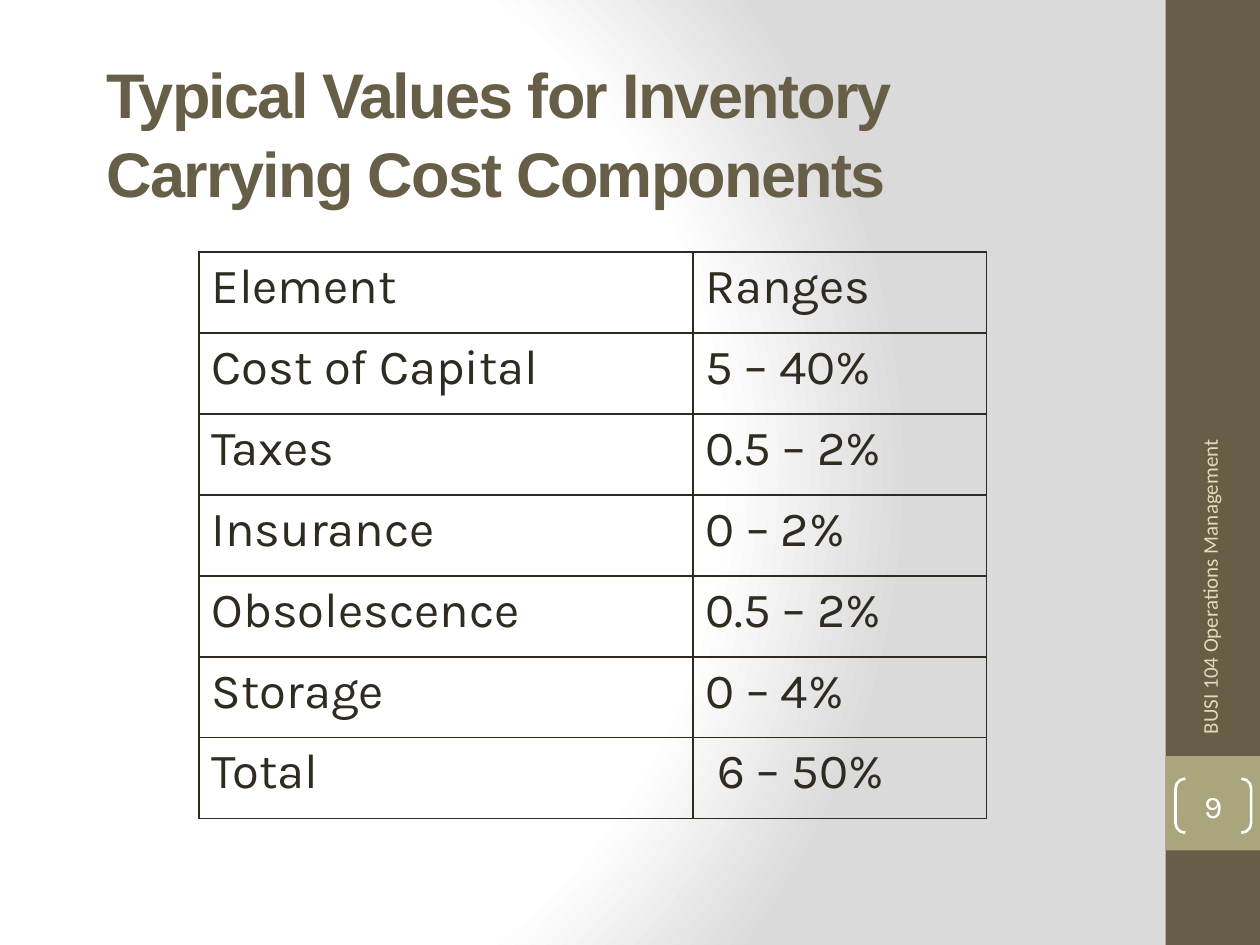
from pptx import Presentation
from pptx.dml.color import RGBColor
from pptx.enum.shapes import MSO_SHAPE as Shape
from pptx.enum.text import MSO_ANCHOR as Anchor, PP_ALIGN as Align
from pptx.oxml import parse_xml
from pptx.oxml.ns import nsdecls
from pptx.util import Inches, Pt

BROWN = RGBColor(0x67, 0x5E, 0x47)
OLIVE = RGBColor(0xA9, 0xA5, 0x7C)
CREAM = RGBColor(0xDF, 0xDC, 0xB7)
INK = RGBColor(0x2F, 0x2B, 0x20)
WHITE = RGBColor(0xFF, 0xFF, 0xFF)
GREY = RGBColor(0xDA, 0xDA, 0xDA)

COSTS = [
    ("Element", "Ranges"),
    ("Cost of Capital", "5 – 40%"),
    ("Taxes", "0.5 – 2%"),
    ("Insurance", "0 – 2%"),
    ("Obsolescence", "0.5 – 2%"),
    ("Storage", "0 – 4%"),
    ("Total", " 6 – 50%"),
]


def style(para, name, size, color, bold=False):
    """Set the font of a whole paragraph."""
    font = para.font
    font.name, font.size, font.bold = name, Pt(size), bold
    font.color.rgb = color


def add_text(slide, box, text, *look):
    """Add a wrapped, vertically centred text box."""
    shape = slide.shapes.add_textbox(*map(Inches, box))
    frame = shape.text_frame
    frame.word_wrap = True
    frame.vertical_anchor = Anchor.MIDDLE
    para = frame.paragraphs[0]
    para.text = text
    style(para, *look)
    return shape


def add_block(slide, box, color):
    """Add a plain filled rectangle."""
    shape = slide.shapes.add_shape(Shape.RECTANGLE, *map(Inches, box))
    shape.shadow.inherit = False
    shape.fill.solid()
    shape.fill.fore_color.rgb = color
    shape.line.fill.background()


def add_glow(slide):
    """Fill the background with a round gradient from white to grey."""
    stops = "".join(
        f'<a:gs pos="{pos * 1000}"><a:srgbClr val="{color}"/></a:gs>'
        for pos, color in ((0, WHITE), (75, WHITE), (100, GREY))
    )
    back = parse_xml(
        f'<p:bg {nsdecls("p", "a")}><p:bgPr><a:gradFill rotWithShape="1">'
        f'<a:gsLst>{stops}</a:gsLst><a:path path="circle">'
        '<a:fillToRect l="20000" t="50000" r="100000" b="50000"/></a:path>'
        '</a:gradFill><a:effectLst/></p:bgPr></p:bg>'
    )
    slide.element.cSld.insert(0, back)


def add_title(slide, box, text):
    """Add the slide heading with tight letter spacing."""
    shape = add_text(slide, box, text, "Arial", 36, BROWN, True)
    para = shape.text_frame.paragraphs[0]
    para.line_spacing = 1.05
    para.runs[0].font.element.set("spc", "-100") if hasattr(
        para.runs[0].font, "element"
    ) else para.runs[0]._r.get_or_add_rPr().set("spc", "-100")


def add_edges(cell):
    """Draw a thin dark line on each side of a cell."""
    props = cell._tc.get_or_add_tcPr()
    for place, side in enumerate("LRTB"):
        props.insert(place, parse_xml(
            f'<a:ln{side} {nsdecls("a")} w="{Pt(1)}"><a:solidFill>'
            f'<a:srgbClr val="{INK}"/></a:solidFill></a:ln{side}>'
        ))


def add_costs(slide, box, rows, widths):
    """Add the table of cost elements and their ranges."""
    frame = slide.shapes.add_table(len(rows), len(widths), *map(Inches, box))
    table = frame.table
    table.first_row = table.horz_banding = False
    for col, width in zip(table.columns, widths):
        col.width = Inches(width)
    for row, texts in zip(table.rows, rows):
        row.height = Inches(box[3] / len(rows))
        for cell, text in zip(row.cells, texts):
            cell.text = text
            cell.fill.background()
            style(cell.text_frame.paragraphs[0], "Karla", 28, INK)
            add_edges(cell)


def add_number(slide, box, text):
    """Add the page number between brackets."""
    shape = slide.shapes.add_shape(Shape.DOUBLE_BRACKET, *map(Inches, box))
    shape.adjustments[0] = 0.18
    shape.shadow.inherit = False
    shape.fill.background()
    shape.line.color.rgb = WHITE
    shape.line.width = Pt(1.5)
    frame = shape.text_frame
    frame.margin_left = frame.margin_right = 0
    frame.margin_top = frame.margin_bottom = 0
    frame.vertical_anchor = Anchor.MIDDLE
    para = frame.paragraphs[0]
    para.text = text
    para.alignment = Align.CENTER
    style(para, "Karla", 18, WHITE)


def add_band(slide, box, course, page):
    """Add the side band with the course name and page number."""
    left, top, width, height = box
    add_block(slide, box, BROWN)
    add_block(slide, (left, top + 6, width, width), OLIVE)
    long, thick = 3.67, 0.4
    spot = (left + 0.35 - long / 2, top + 4.09 - thick / 2, long, thick)
    add_text(slide, spot, course, "Calibri", 12, CREAM).rotation = 270
    add_number(slide, (left + 0.08, top + 6.18, 0.6, 0.43), page)


def main():
    """Build and save the slide."""
    deck = Presentation()
    deck.slide_width, deck.slide_height = Inches(10), Inches(7.5)
    slide = deck.slides.add_slide(deck.slide_layouts[6])
    add_glow(slide)
    add_band(slide, (9.25, 0, 0.75, 7.5), "BUSI 104 Operations Management", "9")
    add_title(slide, (0.75, 0.25, 7.75, 1.58),
              "Typical Values for Inventory Carrying Cost Components")
    add_costs(slide, (1.58, 2, 6.25, 4.5), COSTS, (3.92, 2.33))
    deck.save("out.pptx")


if __name__ == "__main__":
    main()
